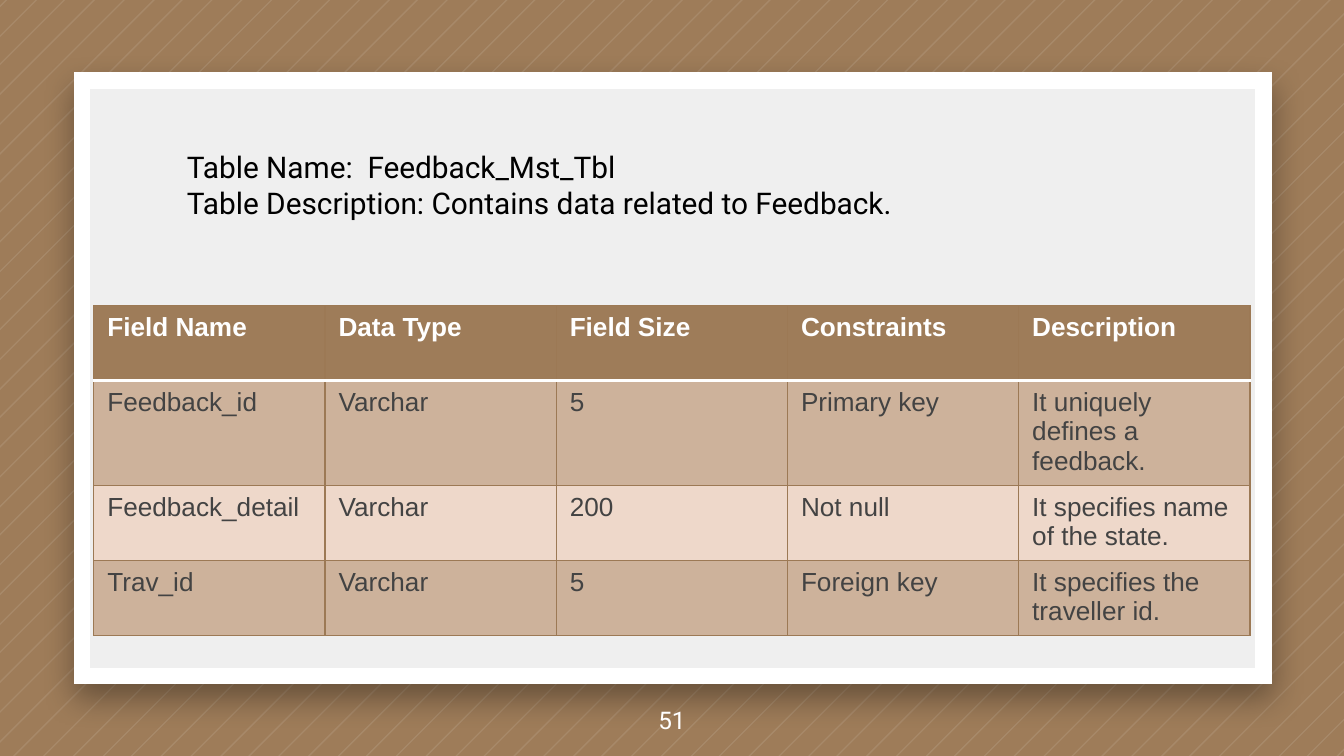
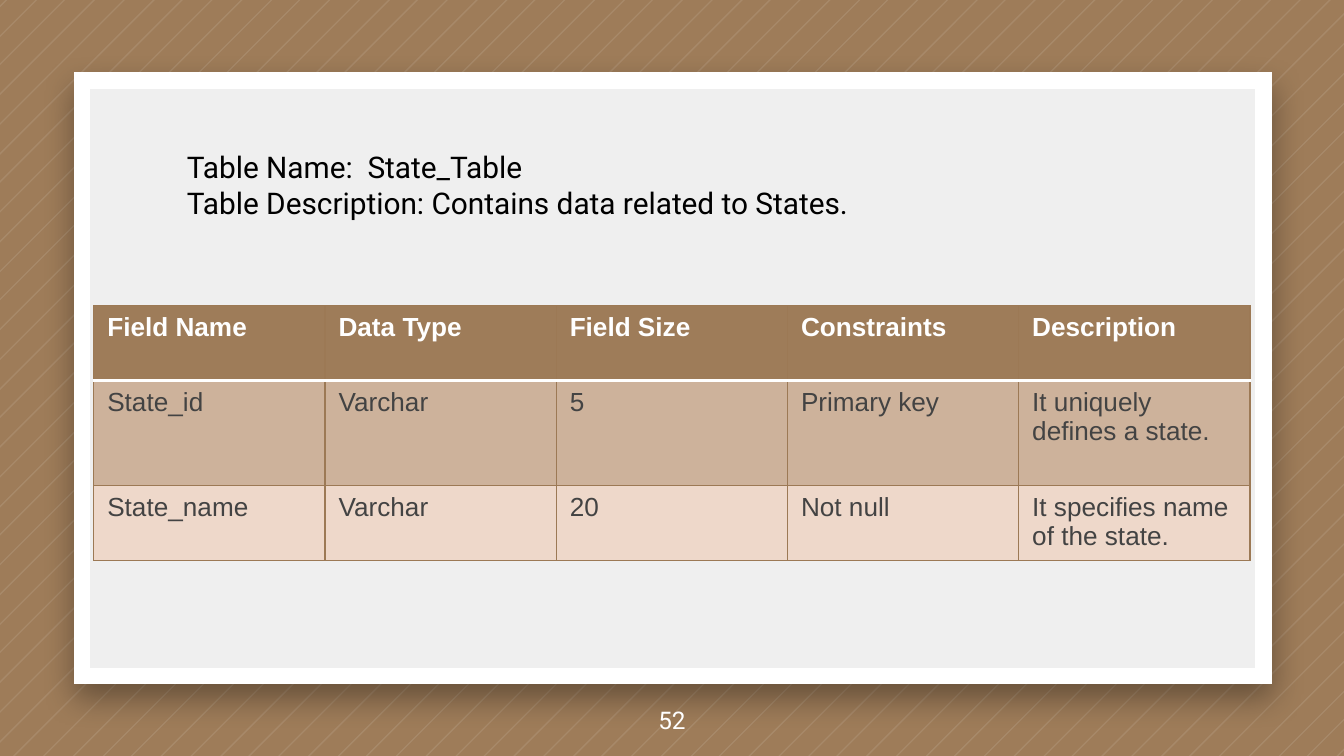
from lxml.etree import SubElement
from pptx import Presentation
from pptx.dml.color import RGBColor
from pptx.enum.shapes import MSO_SHAPE
from pptx.enum.text import MSO_ANCHOR, MSO_AUTO_SIZE, PP_ALIGN
from pptx.oxml import parse_xml
from pptx.oxml.ns import nsdecls, qn
from pptx.util import Pt

HEADINGS = ["Field Name", "Data Type", "Field Size", "Constraints", "Description"]
TABLES = [
    {
        "page": 51,
        "name": "Feedback_Mst_Tbl",
        "description": "Contains data related to Feedback.",
        "fields": [
            ("Feedback_id", "Varchar", "5", "Primary key", "It uniquely defines a feedback."),
            ("Feedback_detail", "Varchar", "200", "Not null", "It specifies name of the state."),
            ("Trav_id", "Varchar", "5", "Foreign key", "It specifies the traveller id."),
        ],
    },
    {
        "page": 52,
        "name": "State_Table",
        "description": "Contains data related to States.",
        "fields": [
            ("State_id", "Varchar", "5", "Primary key", "It uniquely defines a state."),
            ("State_name", "Varchar", "20", "Not null", "It specifies name of the state."),
        ],
    },
]

WIDTH, HEIGHT = 720, 405
BROWN, WHITE, PANEL, BLACK = "9E7C59", "FFFFFF", "EFEFEF", "000000"
BORDER, FIELD_TEXT = "9C7955", "434343"
BANDS = ["CDB29B", "EED8CA"]
STRIPE_START, STRIPE_STEP, STRIPE_COUNT = 2.9, 15.75, 72
COLUMN_WIDTH, ROW_HEIGHT, KEY_ROW_HEIGHT = 123.9, 40.2, 56.2
TABLE_LEFT, TABLE_TOP = 50.3, 163.8


def color(value):
    return RGBColor.from_string(value)


def paint(fill, value):
    fill.solid()
    fill.fore_color.rgb = color(value)


def style(paragraph, font, size, value, bold=False, align=PP_ALIGN.LEFT):
    paragraph.alignment = align
    for run in paragraph.runs:
        run.font.name, run.font.size, run.font.bold = font, Pt(size), bold
        run.font.color.rgb = color(value)


def stripe_corners(offset):
    """Corners of a 1 pt diagonal stripe, clipped to the slide."""
    def top(total):
        return min(total, WIDTH), max(0, total - WIDTH)

    def bottom(total):
        return max(0, total - HEIGHT), min(total, HEIGHT)

    return [top(offset), bottom(offset), bottom(offset + 1), top(offset + 1)]


def add_stripes(slide):
    stripes = [stripe_corners(STRIPE_START + i * STRIPE_STEP) for i in range(STRIPE_COUNT)]
    builder = slide.shapes.build_freeform(*stripes[0][0], scale=Pt(1))
    for first, *others in stripes:
        if first != stripes[0][0]:
            builder.move_to(*first)
        builder.add_line_segments(others, close=True)
    pattern = builder.convert_to_shape()
    pattern.shadow.inherit = False
    pattern.line.fill.background()
    paint(pattern.fill, WHITE)
    tint = pattern.element.spPr.find(qn("a:solidFill"))[0]
    SubElement(tint, qn("a:alpha"), val="10000")
    return pattern


def add_panel(slide):
    panel = slide.shapes.add_shape(MSO_SHAPE.RECTANGLE, Pt(43.9), Pt(43.2), Pt(632.9), Pt(319))
    paint(panel.fill, PANEL)
    paint(panel.line.fill, WHITE)
    panel.line.width = Pt(9)
    panel.shadow.inherit = False
    properties = panel.element.spPr
    SubElement(properties.find(qn("a:ln")), qn("a:miter"), lim="800000")
    properties.find(qn("a:effectLst")).append(parse_xml(
        f'<a:outerShdw {nsdecls("a")} blurRad="{Pt(16.9)}" dist="{Pt(7.5)}" dir="5400000" '
        f'algn="t" rotWithShape="0"><a:srgbClr val="{BLACK}"><a:alpha val="35000"/>'
        '</a:srgbClr></a:outerShdw>'))
    return panel


def move_to_layout(layout, shapes):
    """Put shapes behind everything on every slide that uses the layout."""
    for position, shape in enumerate(shapes, start=2):
        layout.shapes.element.insert(position, shape.element)


def set_borders(cell, row):
    edges = {side: (BORDER, 0.75) for side in "LRTB"}
    if row < 2:
        edges["B" if row == 0 else "T"] = (WHITE, 2)
    for position, (side, (value, width)) in enumerate(edges.items()):
        cell._tc.get_or_add_tcPr().insert(position, parse_xml(
            f'<a:ln{side} {nsdecls("a")} w="{Pt(width)}"><a:solidFill>'
            f'<a:srgbClr val="{value}"/></a:solidFill></a:ln{side}>'))


def add_heading(slide, name, description):
    heading = slide.shapes.title
    heading.left, heading.top, heading.width, heading.height = Pt(92.9), Pt(76.3), Pt(535), Pt(46)
    frame = heading.text_frame
    frame.text = f"Table Name:  {name}\nTable Description: {description}"
    frame.word_wrap = True
    frame.auto_size = MSO_AUTO_SIZE.NONE
    frame.vertical_anchor = MSO_ANCHOR.TOP
    for paragraph in frame.paragraphs:
        style(paragraph, "Roboto", 16, BLACK)


def add_page_number(slide, page):
    footer = slide.shapes.add_textbox(0, Pt(366), Pt(WIDTH), Pt(39)).text_frame
    footer.text = str(page)
    footer.word_wrap = True
    footer.vertical_anchor = MSO_ANCHOR.MIDDLE
    style(footer.paragraphs[0], "Roboto", 13, WHITE, align=PP_ALIGN.CENTER)


def add_field_table(slide, fields):
    rows = [HEADINGS, *fields]
    heights = [KEY_ROW_HEIGHT if i == 1 else ROW_HEIGHT for i in range(len(rows))]
    table = slide.shapes.add_table(
        len(rows), len(HEADINGS), Pt(TABLE_LEFT), Pt(TABLE_TOP),
        Pt(COLUMN_WIDTH * len(HEADINGS)), Pt(sum(heights))).table
    for column in table.columns:
        column.width = Pt(COLUMN_WIDTH)
    for r, (texts, height) in enumerate(zip(rows, heights)):
        table.rows[r].height = Pt(height)
        header = r == 0
        for c, text in enumerate(texts):
            cell = table.cell(r, c)
            cell.text = text
            style(cell.text_frame.paragraphs[0], "Arial", 14,
                  WHITE if header else FIELD_TEXT, bold=header)
            paint(cell.fill, BROWN if header else BANDS[(r - 1) % 2])
            set_borders(cell, r)


def main():
    deck = Presentation()
    deck.slide_width, deck.slide_height = Pt(WIDTH), Pt(HEIGHT)
    layout = deck.slide_layouts.get_by_name("Title Only")
    paint(layout.background.fill, BROWN)
    for index, content in enumerate(TABLES):
        slide = deck.slides.add_slide(layout)
        if index == 0:
            move_to_layout(layout, [add_stripes(slide), add_panel(slide)])
        add_heading(slide, content["name"], content["description"])
        add_field_table(slide, content["fields"])
        add_page_number(slide, content["page"])
    deck.save("out.pptx")


if __name__ == "__main__":
    main()
